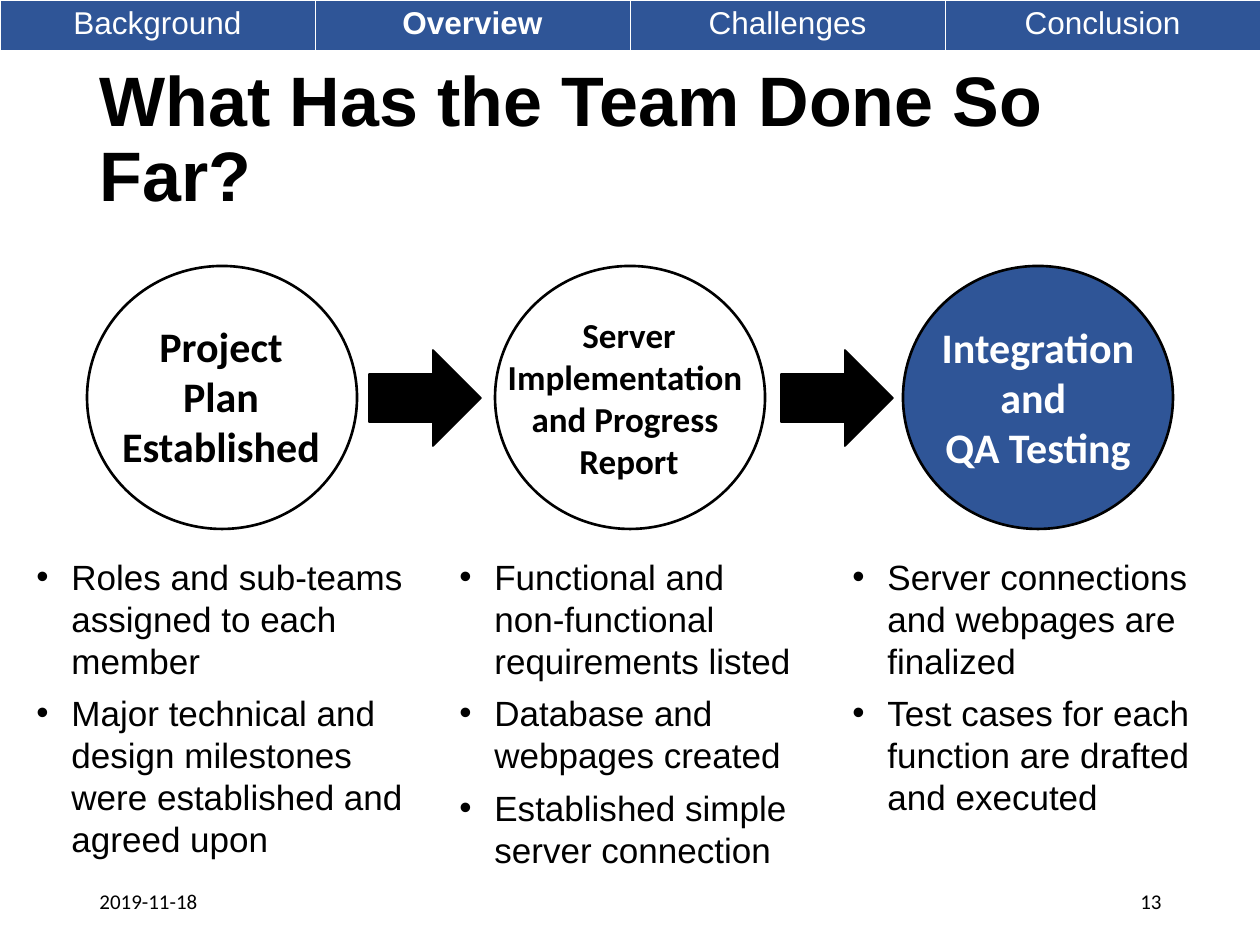
from dataclasses import dataclass

from lxml.etree import SubElement
from pptx import Presentation
from pptx.dml.color import RGBColor
from pptx.enum.shapes import MSO_SHAPE as Shape
from pptx.enum.text import MSO_ANCHOR as Anchor, MSO_AUTO_SIZE as AutoSize, PP_ALIGN as Align
from pptx.oxml.ns import qn
from pptx.slide import Slide
from pptx.util import Inches, Pt

SCALE = Inches(1) / 126
BLACK = RGBColor(0, 0, 0)
WHITE = RGBColor(255, 255, 255)
BLUE = RGBColor(0x2F, 0x55, 0x97)


def px(*lengths):
    return [round(length * SCALE) for length in lengths]


@dataclass
class SlideBuilder:
    """Draws styled elements on the current slide."""

    slide: Slide
    body_font: str = "Arial"
    label_font: str = "Calibri"

    def format(self, frame, size, color=BLACK, bold=False, font=None, align=Align.LEFT):
        for paragraph in frame.paragraphs:
            paragraph.alignment = align
            for run in paragraph.runs:
                run.font.name = font or self.body_font
                run.font.size = Pt(size)
                run.font.bold = bold
                run.font.color.rgb = color

    def title(self, text, *box):
        heading = self.slide.shapes.title
        heading.left, heading.top, heading.width, heading.height = px(*box)
        frame = heading.text_frame
        frame.text = text
        frame.auto_size = AutoSize.NONE
        frame.vertical_anchor = Anchor.MIDDLE
        frame.paragraphs[0].line_spacing = 0.9
        self.format(frame, 40, bold=True)

    def shape(self, kind, box, fill, line_width):
        shape = self.slide.shapes.add_shape(kind, *px(*box))
        shape.shadow.inherit = False
        shape.fill.solid()
        shape.fill.fore_color.rgb = fill
        shape.line.color.rgb = BLACK
        shape.line.width = Pt(line_width)

    def text(self, text, box, size, anchor=Anchor.TOP, **style):
        frame = self.slide.shapes.add_textbox(*px(*box)).text_frame
        frame.word_wrap = True
        frame.vertical_anchor = anchor
        frame.text = text
        self.format(frame, size, **style)
        return frame

    def label(self, text, box, size, color):
        self.text(text, box, size, color=color, bold=True,
                  font=self.label_font, align=Align.CENTER)

    def bullets(self, items, box):
        frame = self.text("\n".join(items), box, 20)
        indent, = px(35)
        for paragraph in frame.paragraphs:
            paragraph.space_after = Pt(6)
            properties = paragraph._p.get_or_add_pPr()
            properties.set("marL", str(indent))
            properties.set("indent", str(-indent))
            SubElement(properties, qn("a:buFont"), typeface=self.body_font)
            SubElement(properties, qn("a:buChar"), char="•")

    def footer(self, text, box, align):
        self.text(text, box, 12, Anchor.MIDDLE, font=self.label_font, align=align)

    def border(self, cell, side, width):
        line = SubElement(cell._tc.get_or_add_tcPr(), qn(f"a:{side}"), w=str(Pt(width)))
        fill = SubElement(line, qn("a:solidFill"))
        SubElement(fill, qn("a:srgbClr"), val=str(WHITE))

    def navigation(self, sections, current, *box):
        table = self.slide.shapes.add_table(1, len(sections), *px(*box)).table
        table.first_row = table.horz_banding = False
        for cell, section in zip(table.iter_cells(), sections):
            for side, width in (("lnL", 0.45), ("lnR", 0.45), ("lnT", 0.45), ("lnB", 1.47)):
                self.border(cell, side, width)
            cell.fill.solid()
            cell.fill.fore_color.rgb = BLUE
            cell.text_frame.text = section
            self.format(cell.text_frame, 18, WHITE, section == current, align=Align.CENTER)


STAGES = [
    ("Project Plan Established", (105, 314, 232, 164), 24, WHITE, BLACK),
    ("Server Implementation \nand Progress \nReport", (467, 307, 324, 181), 20, WHITE, BLACK),
    ("Integration and \nQA Testing", (926, 315, 224, 164), 24, BLUE, WHITE),
]
DETAILS = [
    ((24, 549, 396, 318), [
        "Roles and sub-teams assigned to each member",
        "Major technical and design milestones were established and agreed upon"]),
    ((447, 549, 367, 328), [
        "Functional and\vnon-functional requirements listed",
        "Database and webpages created",
        "Established simple server connection"]),
    ((840, 549, 396, 276), [
        "Server connections and webpages are finalized",
        "Test cases for each function are drafted and executed"]),
]


def main():
    deck = Presentation()
    deck.slide_width, deck.slide_height = px(1260, 945)
    builder = SlideBuilder(deck.slides.add_slide(deck.slide_layouts[5]))
    builder.title("What Has the Team Done So Far?", 87, 50, 1087, 183)
    for index, (_, _, _, fill, _) in enumerate(STAGES):
        builder.shape(Shape.OVAL, (87 + 408 * index, 266, 270, 263), fill, 1.5)
    for left in (369, 781):
        builder.shape(Shape.RIGHT_ARROW, (left, 350, 112, 96), BLACK, 1)
    for stage, box, size, _, color in STAGES:
        builder.label(stage, box, size, color)
    for box, items in DETAILS:
        builder.bullets(items, box)
    builder.footer("2019-11-18", (87, 876, 284, 50), Align.LEFT)
    builder.footer("13", (890, 876, 284, 50), Align.RIGHT)
    builder.navigation(["Background", "Overview", "Challenges", "Conclusion"],
                       "Overview", 0, 0, 1260, 51)
    deck.save("out.pptx")


if __name__ == "__main__":
    main()
